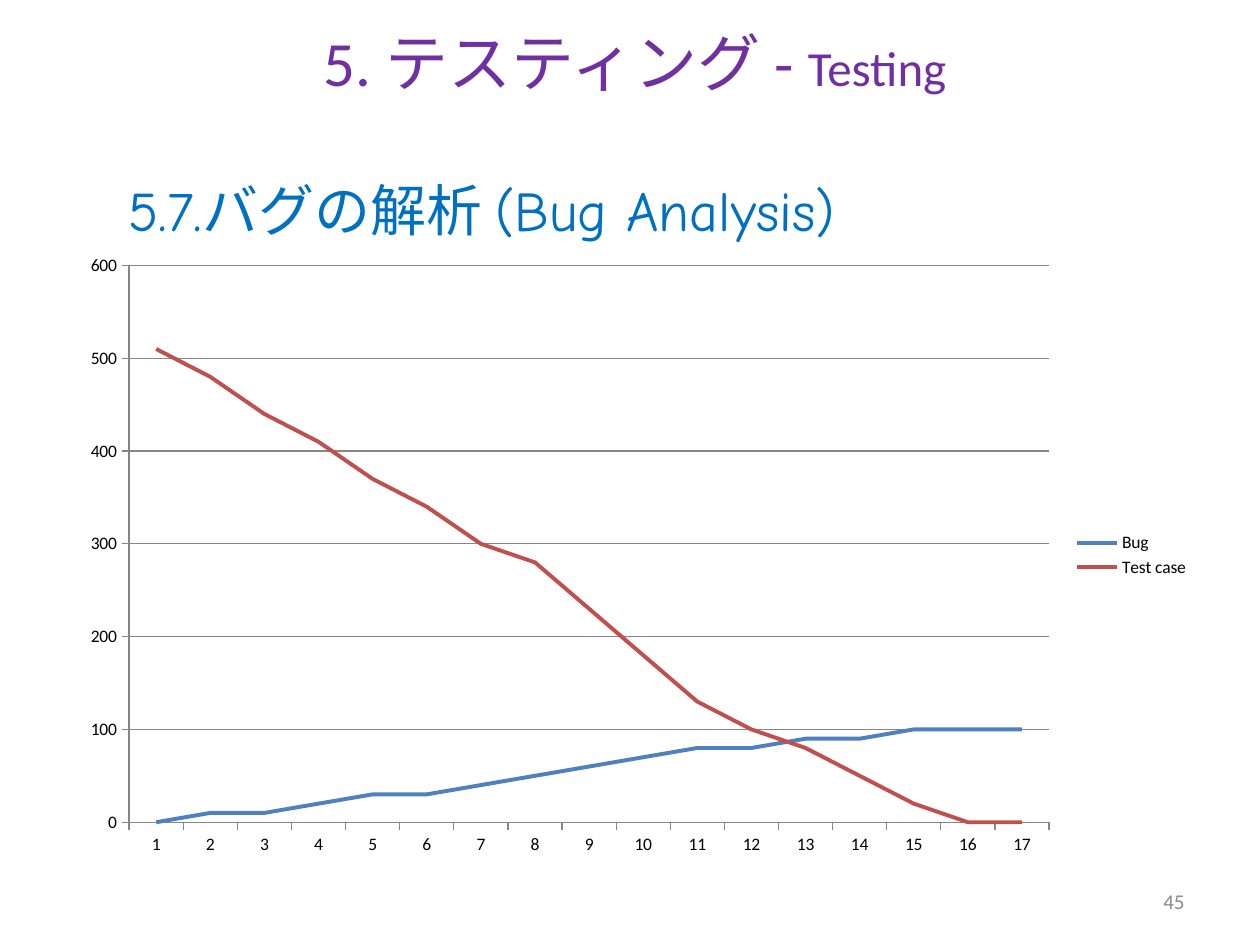
from pptx import Presentation
from pptx import util as u
from pptx.chart.data import CategoryChartData
from pptx.dml.color import RGBColor
from pptx.enum import chart as ch, text

PX = 9144  # EMU per px, 100 px to the inch
COLORS = {"title": "7030A0", "heading": "0070C0", "number": "8C8C8C",
          "text": "000000", "axis": "868686"}
LEFT, CENTER, RIGHT = text.PP_ALIGN.LEFT, text.PP_ALIGN.CENTER, text.PP_ALIGN.RIGHT
TOP, MIDDLE = text.MSO_ANCHOR.TOP, text.MSO_ANCHOR.MIDDLE

# Content: box, runs (text, size), font, colour, alignment, anchor, line spacing
TEXTS = [
    ((92, 108, 833, 84), [("5.7.バグの解析 (Bug Analysis)", 32)],
     "Comic Neue", "heading", LEFT, TOP, 1.5),
    ((140, 14, 728, 71), [("5. テスティング - ", 36), ("Testing", 28)],
     "Calibri", "title", CENTER, TOP, 1.0),
    ((717, 695, 233, 40), [("45", 12)], "Calibri", "number", RIGHT, MIDDLE, 1.0),
]
CHART_BOX = (54, 193, 900, 495)
SERIES = [
    ("Bug", "4F81BD",
     (0, 10, 10, 20, 30, 30, 40, 50, 60, 70, 80, 80, 90, 90, 100, 100, 100)),
    ("Test case", "C0504D",
     (510, 480, 440, 410, 370, 340, 300, 280, 230, 180, 130, 100, 80, 50, 20, 0, 0)),
]


def emu(box):
    return [v * PX for v in box]


def rgb(name):
    return RGBColor.from_string(COLORS[name])


def style_line(line, color, width):
    line.color.rgb = color
    line.width = u.Pt(width)


def add_chart(s):
    data = CategoryChartData()
    data.categories = [str(n + 1) for n in range(len(SERIES[0][2]))]
    for name, _, values in SERIES:
        data.add_series(name, values)
    chart = s.shapes.add_chart(ch.XL_CHART_TYPE.LINE, *emu(CHART_BOX), data).chart
    chart.has_title = False
    chart.font.size, chart.font.name = u.Pt(10), "Calibri"
    chart.font.color.rgb = rgb("text")
    chart.has_legend = True
    chart.legend.position = ch.XL_LEGEND_POSITION.RIGHT
    chart.legend.include_in_layout = False
    chart.plots[0].vary_by_categories = False

    # Axes and gridlines
    values = chart.value_axis
    values.minimum_scale, values.maximum_scale, values.major_unit = 0, 600, 100
    values.has_major_gridlines = True
    for axis in (chart.category_axis, values):
        axis.major_tick_mark = ch.XL_TICK_MARK.OUTSIDE
        axis.minor_tick_mark = ch.XL_TICK_MARK.NONE
        style_line(axis.format.line, rgb("axis"), 0.75)
    style_line(values.major_gridlines.format.line, rgb("axis"), 0.75)

    # Series lines
    for ser, (_, color, _) in zip(chart.plots[0].series, SERIES):
        ser.smooth = False
        ser.marker.style = ch.XL_MARKER_STYLE.NONE
        style_line(ser.format.line, RGBColor.from_string(color), 2.25)


def add_text(s, box, runs, font, color, align, anchor, spacing):
    tf = s.shapes.add_textbox(*emu(box)).text_frame
    tf.word_wrap = True
    tf.vertical_anchor = anchor
    p = tf.paragraphs[0]
    p.alignment, p.line_spacing = align, spacing
    for words, size in runs:
        r = p.add_run()
        r.text = words
        r.font.name, r.font.size = font, u.Pt(size)
        r.font.color.rgb = rgb(color)


def main():
    prs = Presentation()
    prs.slide_width, prs.slide_height = 1000 * PX, 750 * PX
    s = prs.slides.add_slide(prs.slide_layouts[6])
    add_chart(s)
    for item in TEXTS:
        add_text(s, *item)
    prs.save("out.pptx")


if __name__ == "__main__":
    main()
